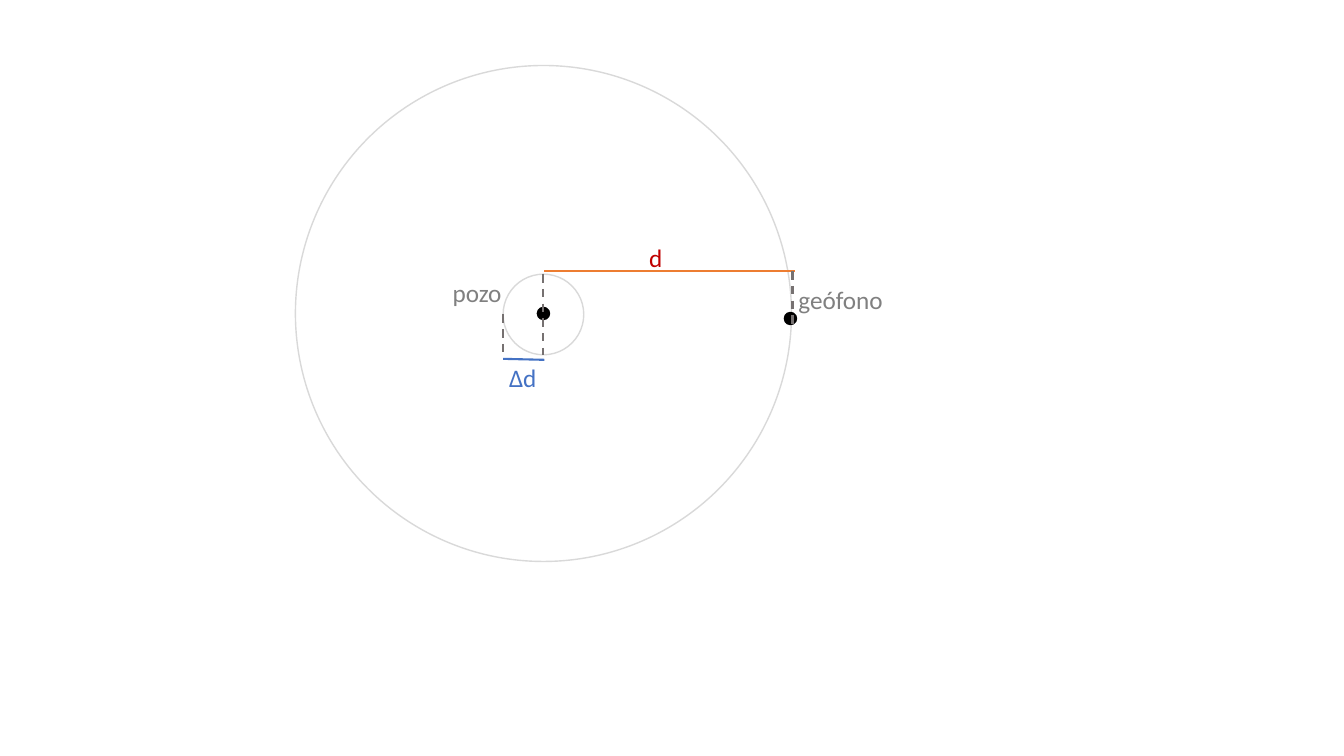
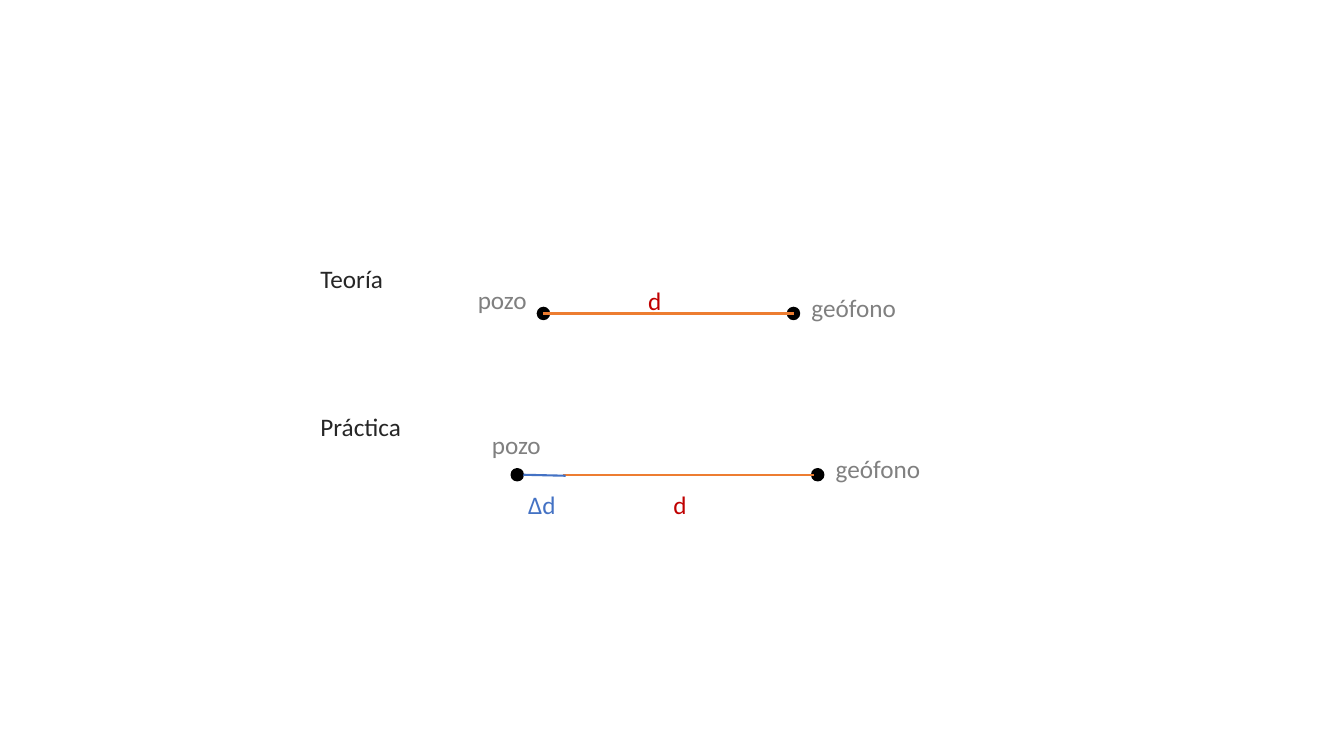
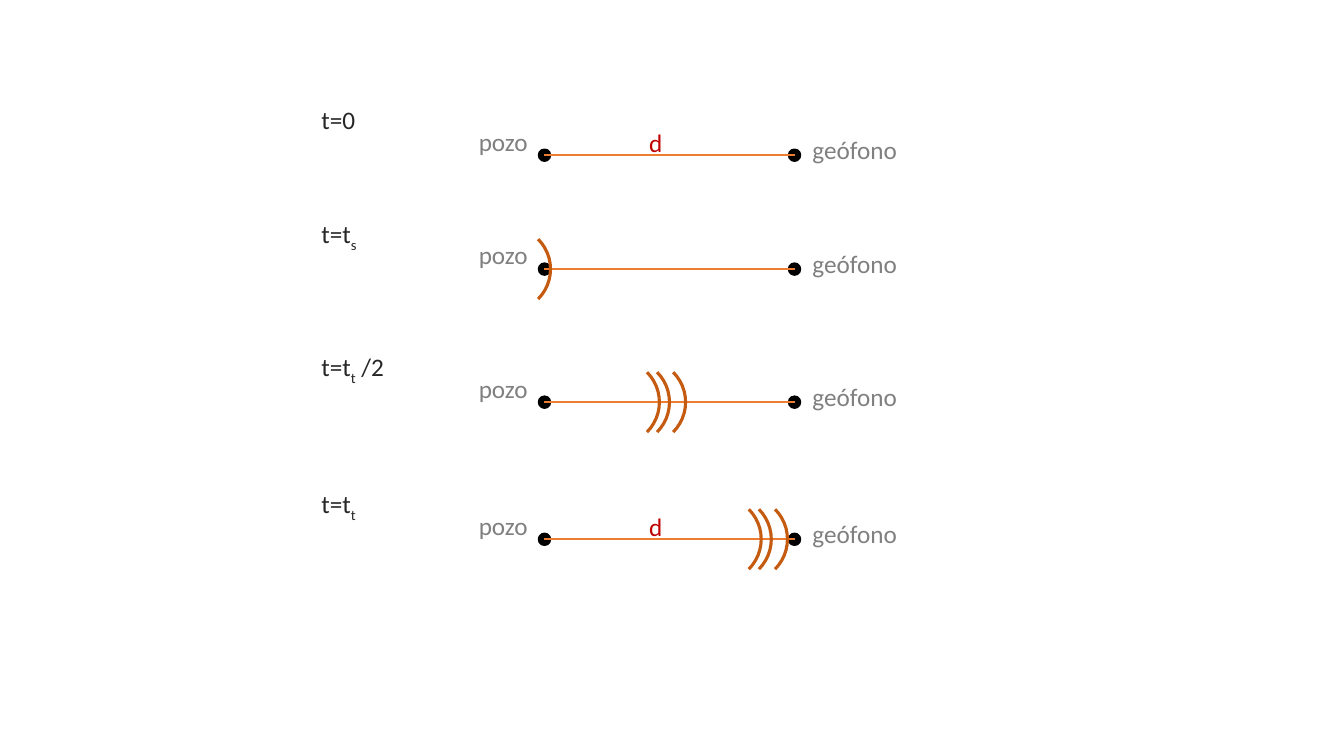
from pptx import Presentation
from pptx.dml.color import RGBColor
from pptx.enum.dml import MSO_LINE
from pptx.enum.shapes import MSO_CONNECTOR, MSO_SHAPE
from pptx.enum.text import MSO_AUTO_SIZE
from pptx.util import Inches, Pt
from lxml.etree import SubElement
from pptx.oxml.ns import qn

BLACK = RGBColor(0x00, 0x00, 0x00)
DARK = RGBColor(0x26, 0x26, 0x26)
GRAY = RGBColor(0x80, 0x80, 0x80)
DASH_GRAY = RGBColor(0x76, 0x71, 0x71)
LIGHT_GRAY = RGBColor(0xD9, 0xD9, 0xD9)
RED = RGBColor(0xC0, 0x00, 0x00)
BLUE = RGBColor(0x44, 0x72, 0xC4)
ORANGE = RGBColor(0xED, 0x7D, 0x31)
WAVE = RGBColor(0xC5, 0x5A, 0x11)

# Content: label -> (width, colour, wraps)
LABELS = {
    "geófono": (1.05, GRAY, False),
    "pozo": (0.69, GRAY, False),
    "d": (0.49, RED, True),
    "Δd": (0.49, BLUE, True),
}
# Case name, subscript and ending; width; line height; front of the leading wave; show d
TIMES = [
    (("t=0", "", ""), 0.54, 1.54, None, True),
    (("t=t", "s", ""), 0.58, 2.67, [5.46], False),
    (("t=t", "t", " /2"), 0.84, 3.99, [6.54, 6.64, 6.80], False),
    (("t=t", "t", ""), 0.57, 5.35, [7.55, 7.65, 7.81], True),
]

# Shared sizes
WELL_X = 5.39
DISTANCE = 2.48
DOT_RADIUS = 0.06
WAVE_RADIUS = 0.42
LABEL_HEIGHT = 0.4


def add_circle(slide, x, y, radius, line_color, fill=None, kind=MSO_SHAPE.OVAL, width=1):
    shape = slide.shapes.add_shape(kind, Inches(x - radius), Inches(y - radius),
                                   Inches(2 * radius), Inches(2 * radius))
    shape.shadow.inherit = False
    shape.line.color.rgb = line_color
    shape.line.width = Pt(width)
    if fill is None:
        shape.fill.background()
    else:
        shape.fill.solid()
        shape.fill.fore_color.rgb = fill
    return shape


def add_dot(slide, x, y):
    add_circle(slide, x, y, DOT_RADIUS, BLACK, BLACK)


def add_wave(slide, front, y):
    arc = add_circle(slide, front - WAVE_RADIUS, y, WAVE_RADIUS, WAVE,
                     kind=MSO_SHAPE.ARC, width=2.25)
    arc.rotation = 45


def add_line(slide, start, end, color, dashed=False):
    line = slide.shapes.add_connector(MSO_CONNECTOR.STRAIGHT,
                                      *map(Inches, start + end))
    line.line.color.rgb = color
    line.line.width = Pt(1.5)
    if dashed:
        line.line.dash_style = MSO_LINE.DASH
    SubElement(line._element.spPr, qn("a:effectLst"))


def add_text(slide, x, y, width, color, parts, wrap=False):
    """Write the parts in one line; the second part is a subscript."""
    box = slide.shapes.add_textbox(Inches(x), Inches(y), Inches(width), Inches(LABEL_HEIGHT))
    frame = box.text_frame
    frame.word_wrap = wrap
    frame.auto_size = MSO_AUTO_SIZE.SHAPE_TO_FIT_TEXT
    paragraph = frame.paragraphs[0]
    paragraph.font.name = "Calibri"
    paragraph.font.size = Pt(18)
    paragraph.font.color.rgb = color
    for index, part in enumerate(parts):
        if part:
            run = paragraph.add_run()
            run.text = part
            if index == 1:
                run.font._element.set("baseline", "-25000")


def add_label(slide, text, x, y):
    width, color, wrap = LABELS[text]
    add_text(slide, x, y, width, color, [text], wrap)


def add_ends(slide, well_x, geophone_x, y, well_label):
    """Dots and names of the well and the geophone; well_label is an offset."""
    add_dot(slide, well_x, y)
    add_dot(slide, geophone_x, y)
    add_label(slide, "geófono", geophone_x + 0.08, y - 0.26)
    add_label(slide, "pozo", well_x + well_label[0], y + well_label[1])


def add_track(slide, y, well_x, show_d=True):
    """Well and geophone joined by the distance d."""
    add_ends(slide, well_x, well_x + DISTANCE, y, (-0.75, -0.34))
    if show_d:
        add_label(slide, "d", well_x + 0.94, y - 0.33)
    add_line(slide, (well_x, y), (well_x + DISTANCE + 0.01, y), ORANGE)


presentation = Presentation()
presentation.slide_width = Inches(13.33)
presentation.slide_height = Inches(7.5)
plan, comparison, timeline = [
    presentation.slides.add_slide(presentation.slide_layouts[6]) for _ in range(3)]

# Plan view: well, position error and distance
well_y, error, d_y = 3.11, 0.4, 2.69
geophone_x = 7.84
add_dot(plan, WELL_X, well_y)
add_circle(plan, WELL_X, well_y + 0.01, error, LIGHT_GRAY)
add_circle(plan, WELL_X, well_y, 2.46, LIGHT_GRAY)
add_dot(plan, geophone_x, 3.16)
for text, x, y in [("geófono", 7.82, 2.77), ("pozo", 4.39, 2.7),
                   ("d", 6.34, 2.36), ("Δd", 4.95, 3.55)]:
    add_label(plan, text, x, y)
add_line(plan, (WELL_X + 0.01, d_y), (7.89, d_y), ORANGE)
add_line(plan, (WELL_X - error, 3.56), (WELL_X + 0.01, 3.57), BLUE)
for x, top, bottom in [(WELL_X - error, 3.12, 3.52), (WELL_X, 2.72, 3.52),
                       (7.86, d_y, 3.23)]:
    add_line(plan, (x, top), (x, bottom), DASH_GRAY, dashed=True)

# Theory against practice
theory_y, practice_y, practice_well = 3.11, 4.71, 5.13
add_track(comparison, theory_y, WELL_X)
add_text(comparison, 3.08, 2.56, 0.83, DARK, ["Teoría"])
add_text(comparison, 3.08, 4.03, 1.01, DARK, ["Práctica"])
add_ends(comparison, practice_well, 8.11, practice_y, (-0.35, -0.5))
add_label(comparison, "d", 6.58, practice_y + 0.1)
add_label(comparison, "Δd", 5.14, practice_y + 0.1)
add_line(comparison, (5.58, practice_y), (8.07, practice_y), ORANGE)
add_line(comparison, (5.19, practice_y), (5.61, practice_y + 0.01), BLUE)

# Wave travelling from well to geophone
for name, width, y, fronts, show_d in TIMES:
    add_track(timeline, y, WELL_X + 0.01, show_d)
    add_text(timeline, 3.09, y - 0.55, width, DARK, name)
    for front in fronts or []:
        add_wave(timeline, front, y)

presentation.save("out.pptx")
